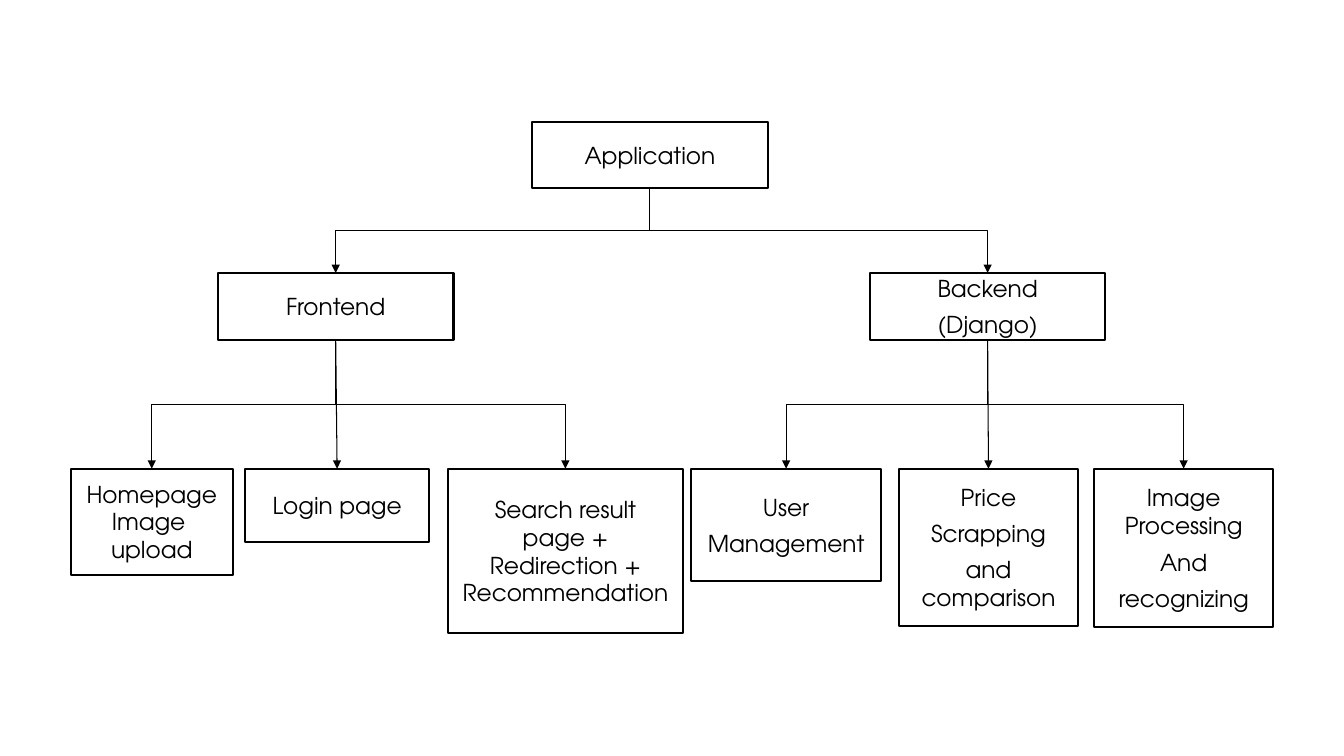
from lxml.etree import SubElement
from pptx import Presentation
from pptx.dml.color import RGBColor
from pptx.enum.shapes import MSO_CONNECTOR as Link, MSO_SHAPE as Preset
from pptx.enum.text import MSO_ANCHOR as Anchor, PP_ALIGN as Align
from pptx.oxml.ns import qn
from pptx.util import Cm, Pt

COLOURS = {"paper": "FFFFFF", "ink": "000000"}
WIDTH, HEIGHT = 33.87, 19.05
BRANCH_TOP, LEAF_TOP = 6.88, 11.81
BRANCH_SIZE = (5.94, 1.68)
BOTTOM_SITE, TOP_SITE = 2, 0

BRANCHES = [
    ("Frontend", 5.49, [
        ("Homepage\vImage \vupload", 1.78, 4.09, 2.67),
        ("Login page", 6.17, 4.65, 1.85),
        ("Search result\vpage +\vRedirection +\vRecommendation", 11.28, 5.94, 4.14),
    ]),
    ("Backend\n(Django)", 21.92, [
        ("User\nManagement", 17.42, 4.78, 2.84),
        ("Price\nScrapping\nand comparison", 22.66, 4.5, 3.96),
        ("Image\vProcessing\nAnd\nrecognizing", 27.58, 4.5, 3.99),
    ]),
]


def colour(key):
    return RGBColor.from_string(COLOURS[key])


def write_text(frame, text, font="TeX Gyre Adventor", size=16.6, ink="ink", after=6):
    frame.word_wrap = True
    frame.vertical_anchor = Anchor.MIDDLE
    frame.text = text
    for paragraph in frame.paragraphs:
        paragraph.alignment = Align.CENTER
        paragraph.space_after = Pt(after)
        for run in paragraph.runs:
            run.font.name = font
            run.font.size = Pt(size)
            run.font.color.rgb = colour(ink)


class TreeSlide:
    """Draws the boxes and arrows of a tree diagram on one slide."""

    def __init__(self, slide, box_line=1.5, arrow_line=0.75):
        self.shapes = slide.shapes
        self.box_line = box_line
        self.arrow_line = arrow_line

    def panel(self, left, top, width, height):
        panel = self.shapes.add_shape(
            Preset.RECTANGLE, Cm(left), Cm(top), Cm(width), Cm(height))
        panel.shadow.inherit = False
        panel.fill.solid()
        panel.fill.fore_color.rgb = colour("paper")
        panel.line.fill.background()
        return panel

    def box(self, text, left, top, width, height):
        box = self.panel(left, top, width, height)
        box.line.color.rgb = colour("ink")
        box.line.width = Pt(self.box_line)
        write_text(box.text_frame, text)
        return box

    def arrow(self, parent, child):
        start_x = parent.left + parent.width // 2
        start_y = parent.top + parent.height
        end_x = child.left + child.width // 2
        across, down = end_x - start_x, child.top - start_y
        bent = abs(across) > Cm(0.2)
        arrow = self.shapes.add_connector(
            Link.ELBOW if bent else Link.STRAIGHT, start_x, start_y, end_x, child.top)
        arrow.begin_connect(parent, BOTTOM_SITE)
        arrow.end_connect(child, TOP_SITE)
        if bent:
            self.turn_down(arrow, start_x, start_y, across, down)
        arrow.line.color.rgb = colour("ink")
        arrow.line.width = Pt(self.arrow_line)
        SubElement(arrow.line._get_or_add_ln(), qn("a:tailEnd"), type="triangle")
        SubElement(arrow._element.spPr, qn("a:effectLst"))

    def turn_down(self, arrow, start_x, start_y, across, down):
        arrow.width, arrow.height = down, abs(across)
        arrow.left = start_x + (across - down) // 2
        arrow.top = start_y + (down - abs(across)) // 2
        frame = arrow._element.spPr.xfrm
        frame.flipH, frame.flipV = across > 0, False
        frame.rot = 270 if across > 0 else 90


def main():
    deck = Presentation()
    deck.slide_width, deck.slide_height = Cm(WIDTH), Cm(HEIGHT)
    tree = TreeSlide(deck.slides.add_slide(deck.slide_layouts[6]))
    tree.panel(0, 0, WIDTH, HEIGHT)

    application = tree.box("Application", 13.41, 3.07, *BRANCH_SIZE)
    links = []
    for branch_text, branch_left, leaves in BRANCHES:
        branch = tree.box(branch_text, branch_left, BRANCH_TOP, *BRANCH_SIZE)
        links.append((application, branch))
        for leaf_text, left, width, height in leaves:
            leaf = tree.box(leaf_text, left, LEAF_TOP, width, height)
            links.append((branch, leaf))
    for parent, child in links:
        tree.arrow(parent, child)

    deck.save("out.pptx")


if __name__ == "__main__":
    main()
